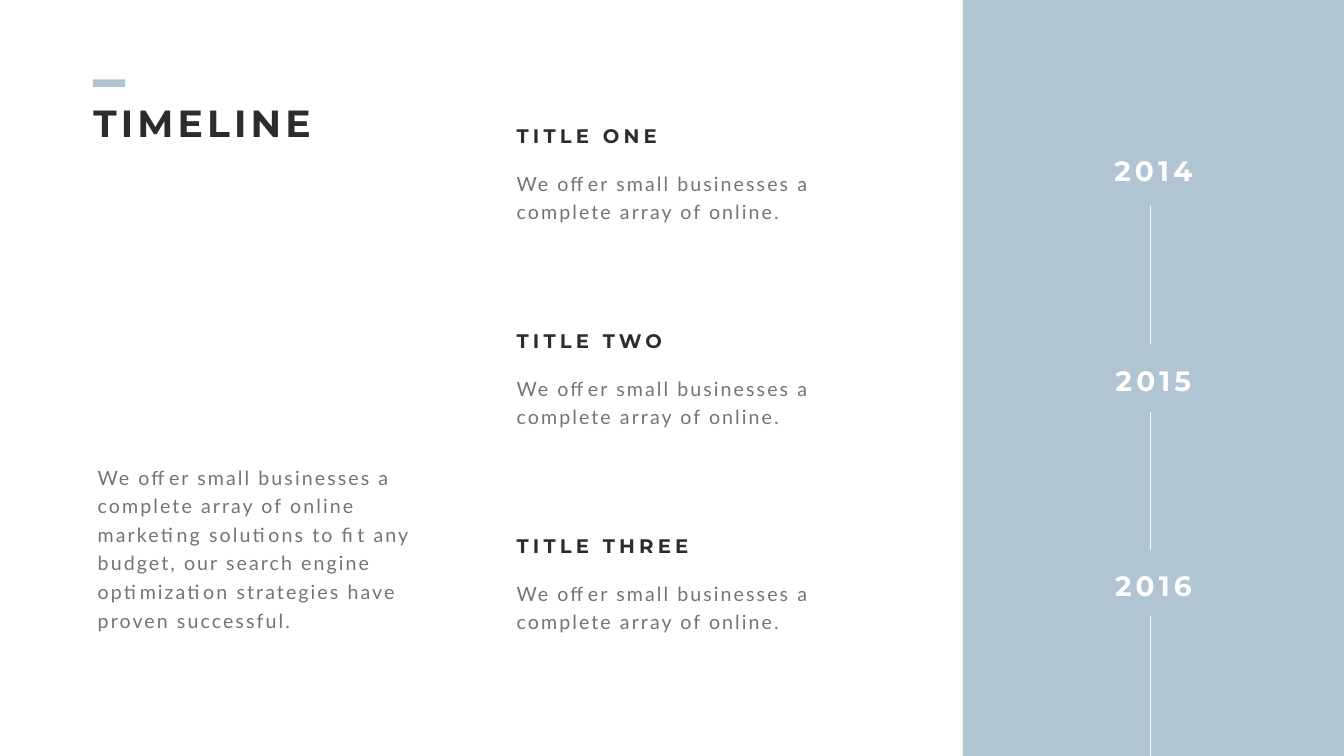
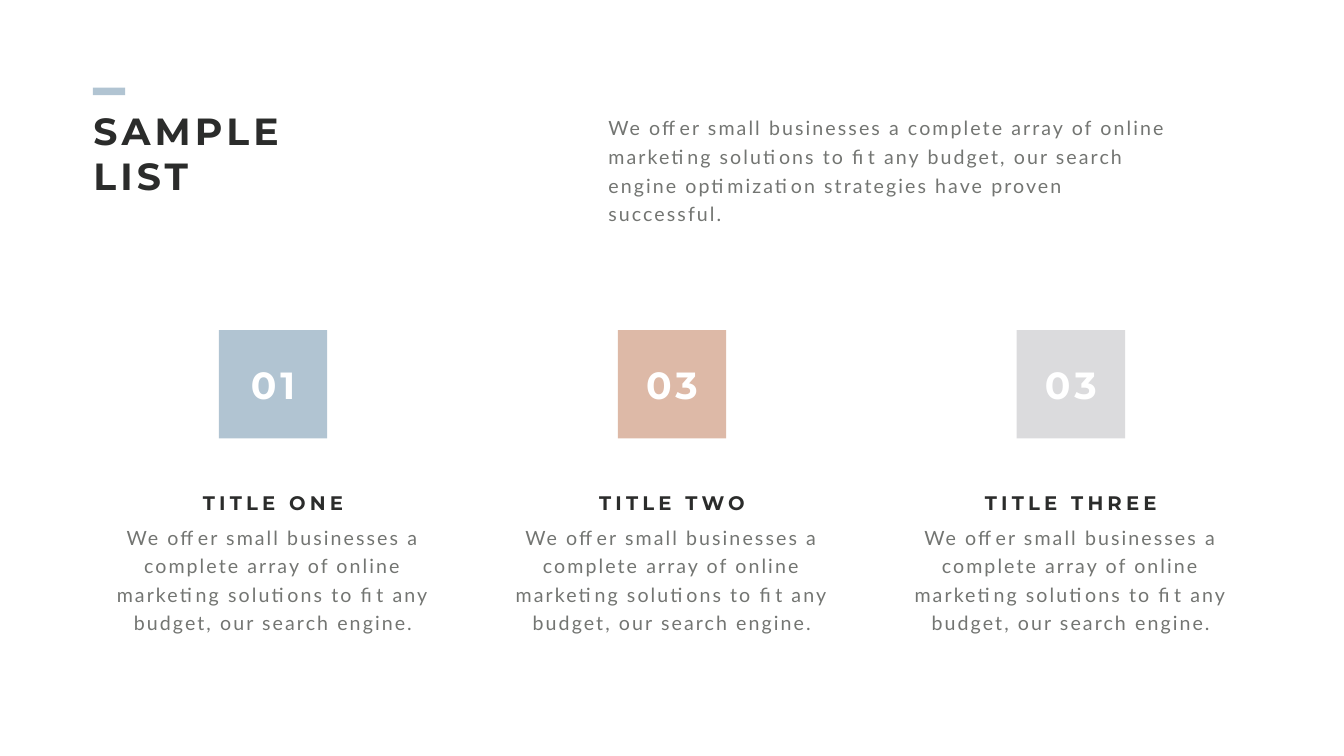
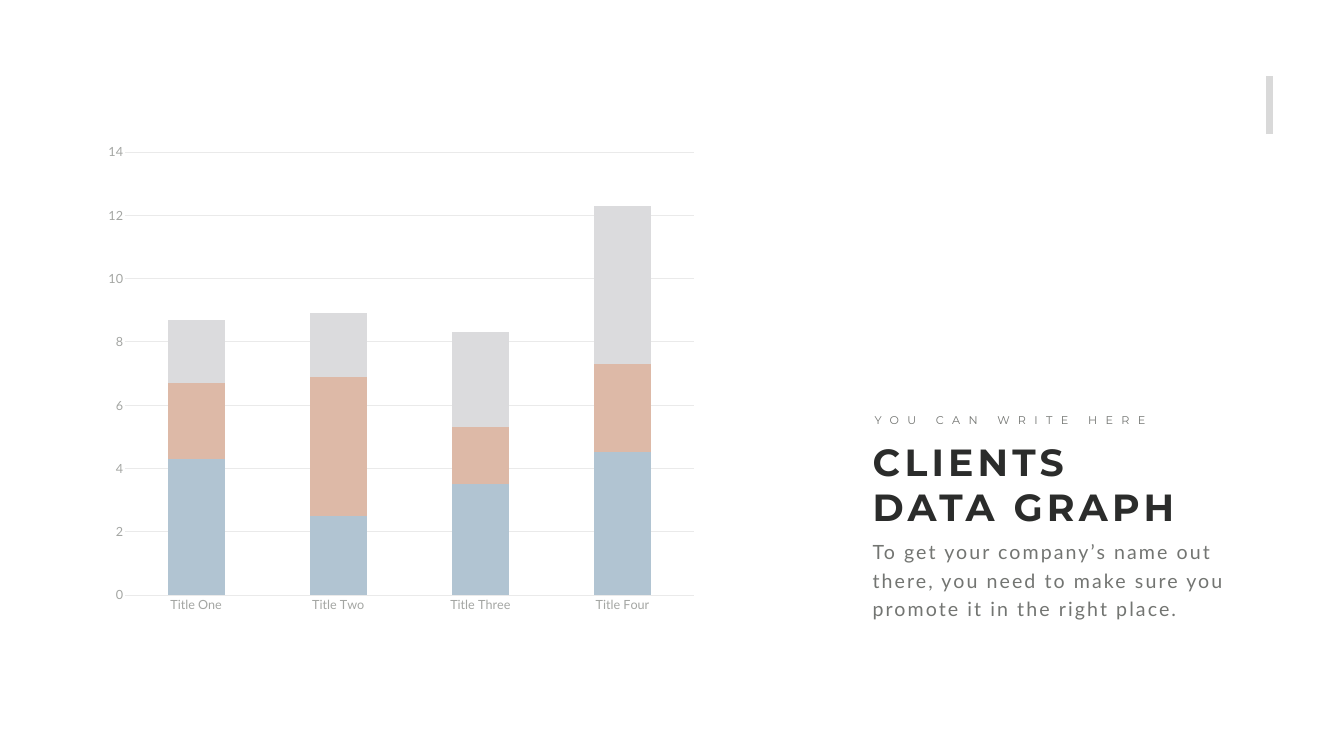
from dataclasses import dataclass

from lxml.etree import SubElement
from pptx import Presentation
from pptx.chart.data import CategoryChartData
from pptx.dml.color import RGBColor
from pptx.enum.chart import XL_CHART_TYPE as ChartType, XL_TICK_MARK as Tick
from pptx.enum.shapes import MSO_CONNECTOR as Connector, MSO_SHAPE as Shape
from pptx.enum.text import MSO_ANCHOR as Anchor, MSO_AUTO_SIZE as AutoSize, PP_ALIGN as Align
from pptx.oxml.ns import qn
from pptx.util import Pt

BLUE = RGBColor(0xB1, 0xC4, 0xD2)
PEACH = RGBColor(0xDD, 0xB9, 0xA7)
SILVER = RGBColor(0xDB, 0xDB, 0xDD)
MARK = RGBColor(0xD9, 0xD9, 0xD9)
GRID = RGBColor(0xEA, 0xEA, 0xEA)
AXIS = RGBColor(0xA4, 0xA6, 0xA3)
INK = RGBColor(0x2B, 0x2C, 0x2B)
GREY = RGBColor(0x73, 0x75, 0x72)
WHITE = RGBColor(0xFF, 0xFF, 0xFF)

SLIDE_W, SLIDE_H = 1919.5, 1080
HEAD_W, HEAD_H = 411.8, 41
PITCH_OF_ROWS, PITCH_OF_COLUMNS = 292.7, 569.7

OFFER = "We offer small businesses a complete array of online"
SOLUTIONS = f"{OFFER} marketing solutions to fit any budget, our search engine"
FULL_OFFER = f"{SOLUTIONS} optimization strategies have proven successful."
TITLES = ("TITLE ONE", "TITLE TWO", "TITLE THREE")


@dataclass(frozen=True)
class Box:
    left: float
    top: float
    width: float
    height: float

    def points(self) -> list:
        return [Pt(v) for v in (self.left, self.top, self.width, self.height)]


@dataclass(frozen=True)
class Style:
    font: str
    size: float
    color: RGBColor
    tracking: float
    bold: bool = False
    leading: float | None = None


TITLE = Style("Montserrat", 54, INK, 6, bold=True)
HEAD = Style("Montserrat", 28, INK, 6, bold=True)
BODY = Style("Lato", 28, GREY, 3, leading=40.8)
YEAR = Style("Montserrat", 40, WHITE, 6, bold=True)
NUMBER = Style("Montserrat", 54, WHITE, 6, bold=True)
KICKER = Style("Montserrat", 16, GREY, 12)


@dataclass(frozen=True)
class Milestone:
    year: str
    top: float
    line_start: float
    line_end: float


@dataclass(frozen=True)
class Series:
    name: str
    values: tuple
    color: RGBColor


MILESTONES = (
    Milestone("2014", 216, 293.8, 491),
    Milestone("2015", 516.2, 589, 786.2),
    Milestone("2016", 808.6, 880.6, SLIDE_H),
)
BADGES = (("01", BLUE), ("03", PEACH), ("03", SILVER))
CATEGORIES = ("Title One", "Title Two", "Title Three", "Title Four")
SERIES = (
    Series("Series 1", (4.3, 2.5, 3.5, 4.5), BLUE),
    Series("Series 2", (2.4, 4.4, 1.8, 2.8), PEACH),
    Series("Series 3", (2, 2, 3, 5), SILVER),
)


def set_font(font, name: str, size: float, color: RGBColor, bold: bool = False) -> None:
    font.name, font.size, font.bold = name, Pt(size), bold
    font.color.rgb = color


def write(tf, text: str, style: Style, align=Align.LEFT) -> None:
    tf.text = text
    tf.vertical_anchor = Anchor.TOP
    p = tf.paragraphs[0]
    p.alignment = align
    if style.leading:
        p.line_spacing = Pt(style.leading)
    set_font(p.font, style.font, style.size, style.color, style.bold)
    p._p.pPr.get_or_add_defRPr().set("spc", str(int(style.tracking * 100)))


def add_text(s, box: Box, text: str, style: Style, align=Align.LEFT, wrap: bool = True) -> None:
    tf = s.shapes.add_textbox(*box.points()).text_frame
    tf.word_wrap = wrap
    tf.auto_size = AutoSize.SHAPE_TO_FIT_TEXT
    write(tf, text, style, align)


def add_rect(s, box: Box, color: RGBColor) -> None:
    sp = s.shapes.add_shape(Shape.RECTANGLE, *box.points())
    sp.shadow.inherit = False
    sp.fill.solid()
    sp.fill.fore_color.rgb = color
    sp.line.fill.background()


def add_vertical(s, x: float, start: float, end: float, color: RGBColor, width: float) -> None:
    line = s.shapes.add_connector(Connector.STRAIGHT, Pt(x), Pt(start), Pt(x), Pt(end))
    line.line.color.rgb = color
    line.line.width = Pt(width)
    SubElement(line._element.spPr, qn("a:effectLst"))


def add_titled_slide(prs, title: str, box: Box, accent: bool = True):
    """Add a slide with its title, and the short accent bar above it."""
    s = prs.slides.add_slide(prs.slide_layouts[5])
    sp = s.shapes.title
    sp.left, sp.top, sp.width, sp.height = box.points()
    sp.text_frame.word_wrap = True
    sp.text_frame.auto_size = AutoSize.NONE
    write(sp.text_frame, title, TITLE)
    if accent:
        add_rect(s, Box(box.left + 6.8, box.top - 24.8, 46.1, 10.8), BLUE)
    return s


def build_timeline(prs) -> None:
    s = add_titled_slide(prs, "TIMELINE", Box(126, 138.2, 411.8, 72.7))
    panel_left = 1375.2
    add_rect(s, Box(panel_left, 0, SLIDE_W - panel_left, SLIDE_H), BLUE)
    for i, head in enumerate(TITLES):
        top = 174.2 + i * PITCH_OF_ROWS
        add_text(s, Box(730.8, top, HEAD_W, HEAD_H), head, HEAD)
        add_text(s, Box(730.8, top + 60.5, 445.7, 85.7), f"{OFFER}.", BODY)
    for m in MILESTONES:
        add_text(s, Box(1530, m.top, 234.7, 55.4), m.year, YEAR, Align.CENTER)
        add_vertical(s, 1642.3, m.line_start, m.line_end, WHITE, 0.5)
    add_text(s, Box(132.5, 654.5, 469.4, 251.3), FULL_OFFER, BODY)


def build_list(prs) -> None:
    s = add_titled_slide(prs, "SAMPLE LIST", Box(126, 149.8, 326.2, 138.2))
    add_text(s, Box(861.8, 155.5, 835.2, 127.4), FULL_OFFER, BODY)
    for i, (head, (number, color)) in enumerate(zip(TITLES, BADGES)):
        center = 390 + i * PITCH_OF_COLUMNS

        def centered(top: float, width: float, height: float) -> Box:
            return Box(center - width / 2, top, width, height)

        add_rect(s, centered(471.6, 154.8, 154.8), color)
        add_text(s, centered(513.4, 152.6, 72.7), number, NUMBER, Align.CENTER)
        add_text(s, centered(698.4, HEAD_W, HEAD_H), head, HEAD, Align.CENTER)
        add_text(s, centered(740.2, 463, 168.5), f"{SOLUTIONS}.", BODY, Align.CENTER)


def add_stacked_chart(s, box: Box) -> None:
    data = CategoryChartData()
    data.categories = CATEGORIES
    for series in SERIES:
        data.add_series(series.name, series.values)
    chart = s.shapes.add_chart(ChartType.COLUMN_STACKED, *box.points(), data).chart
    chart.has_legend = chart.has_title = False
    set_font(chart.font, "Lato", 18, GREY)

    plot = chart.plots[0]
    plot.gap_width, plot.overlap, plot.vary_by_categories = 150, 100, False
    for bars, series in zip(plot.series, SERIES):
        bars.format.fill.solid()
        bars.format.fill.fore_color.rgb = series.color

    cat, val = chart.category_axis, chart.value_axis
    for axis in (cat, val):
        axis.major_tick_mark = axis.minor_tick_mark = Tick.NONE
        set_font(axis.tick_labels.font, "Lato", 18, AXIS)
    val.minimum_scale, val.maximum_scale, val.major_unit = 0, 14, 2
    val.format.line.fill.background()
    val.has_major_gridlines = True
    for line in (cat.format.line, val.major_gridlines.format.line):
        line.color.rgb = GRID
        line.width = Pt(0.75)


def build_graph(prs) -> None:
    left = 1239.1
    s = add_titled_slide(prs, "CLIENTS DATA GRAPH", Box(left, 622.8, 469.4, 138.2), accent=False)
    add_vertical(s, 1813.7, 191.5, 108.7, MARK, 10)
    add_text(s, Box(left, 761, 542.9, 127.4),
             "To get your company’s name out there, you need to make sure you "
             "promote it in the right place.", BODY)
    add_text(s, Box(1242, 586.8, 416.2, 26.6), "YOU CAN WRITE HERE", KICKER, wrap=False)
    add_stacked_chart(s, Box(137.5, 192.2, 870.5, 696.2))


def main() -> None:
    prs = Presentation()
    prs.slide_width, prs.slide_height = Pt(SLIDE_W), Pt(SLIDE_H)
    build_timeline(prs)
    build_list(prs)
    build_graph(prs)
    prs.save("out.pptx")


if __name__ == "__main__":
    main()
